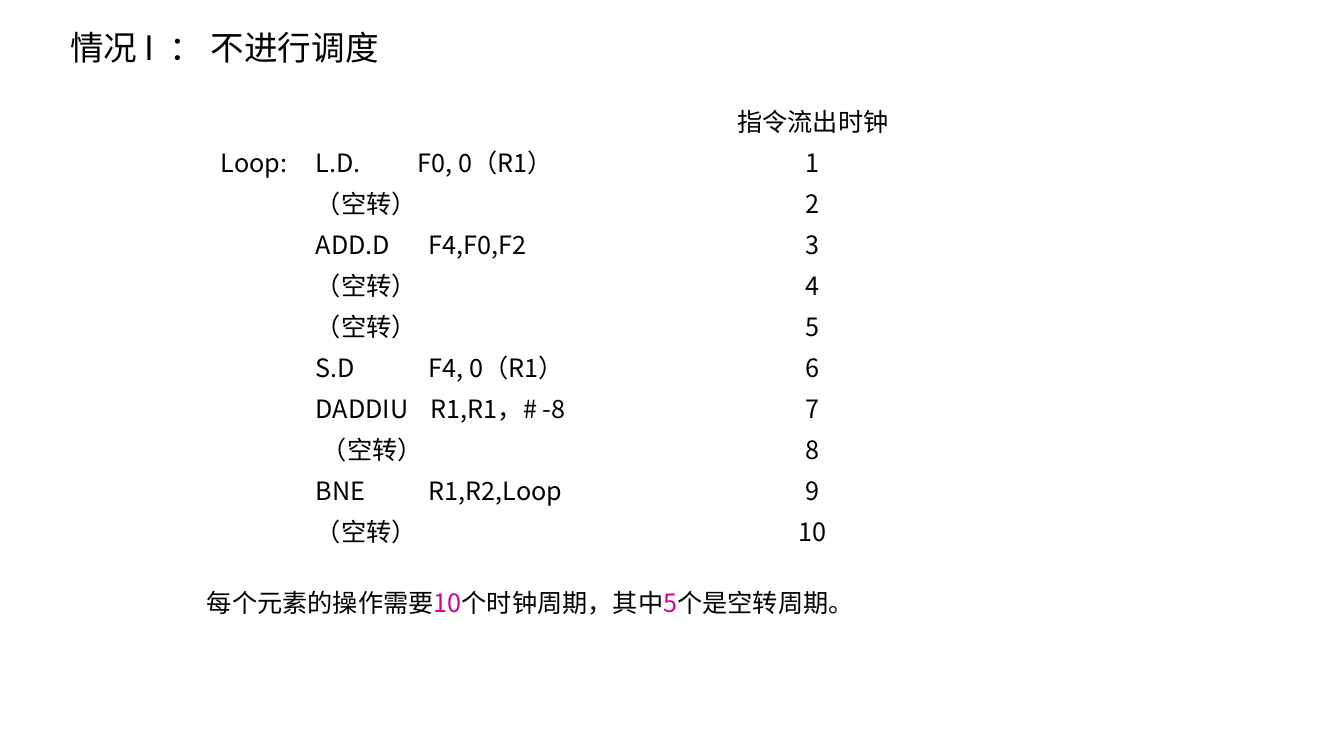
from lxml import etree
from pptx import Presentation
from pptx.dml.color import RGBColor
from pptx.enum.text import MSO_ANCHOR, MSO_AUTO_SIZE, PP_ALIGN
from pptx.oxml.ns import qn
from pptx.util import Pt

LEFT, CENTER = PP_ALIGN.LEFT, PP_ALIGN.CENTER
TOP, BOTTOM = MSO_ANCHOR.TOP, MSO_ANCHOR.BOTTOM
NO_FIT = MSO_AUTO_SIZE.NONE
TITLE_ONLY = 5
EMU_PER_INCH, PX_PER_INCH = 914400, 100.8
FONT = "Noto Sans CJK SC"
BLACK, MAGENTA = "000000", "D60093"
STALL = "（空转）"
COLUMN_WIDTHS = (95, 415, 184)
ROW_HEIGHT = 41
INSTRUCTIONS = [
    ("L.D.\tF0, 0（R1）", 102, 0),
    (STALL, 0, 0),
    ("ADD.D\tF4,F0,F2", 113, 0),
    (STALL, 0, 0),
    (STALL, 0, 0),
    ("S.D\tF4, 0（R1）", 113, 0),
    ("DADDIU\tR1,R1，# -8", 115, 0),
    (STALL, 0, 6),
    ("BNE\tR1,R2,Loop", 113, 0),
    (STALL, 0, 0),
]


def px(length):
    return round(length * EMU_PER_INCH / PX_PER_INCH)


def color(hex_string):
    return RGBColor.from_string(hex_string)


def add_text(paragraph, text, size=18, fill=BLACK, align=LEFT):
    paragraph.alignment = align
    run = paragraph.add_run()
    run.text = text
    run.font.size = Pt(size)
    run.font.color.rgb = color(fill)
    run.font.name = FONT
    etree.SubElement(run.font._element, qn("a:ea"), typeface=FONT)


def set_operand_stop(paragraph, stop):
    tabs = etree.SubElement(paragraph._p.get_or_add_pPr(), qn("a:tabLst"))
    etree.SubElement(tabs, qn("a:tab"), pos=str(px(stop)), algn="l")


def add_title(slide, text):
    title = slide.shapes.title
    title.left, title.top, title.width, title.height = px(60), px(0), px(1013), px(72)
    frame = title.text_frame
    frame.word_wrap = True
    frame.auto_size = NO_FIT
    frame.vertical_anchor = BOTTOM
    heading = frame.paragraphs[0]
    heading.line_spacing = 1.5
    add_text(heading, text, size=24)


def fill_cell(cell, text, align=LEFT, stop=0, indent=0):
    cell.fill.background()
    cell.vertical_anchor = TOP
    cell.margin_left = px(10 + indent)
    cell.margin_top, cell.margin_bottom = px(4), px(0)
    paragraph = cell.text_frame.paragraphs[0]
    if stop:
        set_operand_stop(paragraph, stop)
    add_text(paragraph, text, align=align)


def add_schedule(slide):
    row_count = len(INSTRUCTIONS) + 1
    schedule = slide.shapes.add_table(
        row_count, len(COLUMN_WIDTHS), px(211), px(98),
        px(sum(COLUMN_WIDTHS)), px(ROW_HEIGHT * row_count)).table
    schedule.first_row = schedule.horz_banding = False
    for column, width in zip(schedule.columns, COLUMN_WIDTHS):
        column.width = px(width)
    for row in schedule.rows:
        row.height = px(ROW_HEIGHT)
    fill_cell(schedule.cell(0, 0), "")
    fill_cell(schedule.cell(0, 1), "")
    fill_cell(schedule.cell(0, 2), "指令流出时钟", align=CENTER)
    for clock, (instruction, stop, indent) in enumerate(INSTRUCTIONS, 1):
        fill_cell(schedule.cell(clock, 0), "Loop:" if clock == 1 else "")
        fill_cell(schedule.cell(clock, 1), instruction, stop=stop, indent=indent)
        fill_cell(schedule.cell(clock, 2), str(clock), align=CENTER)


def add_summary(slide, parts):
    summary = slide.shapes.add_textbox(px(197), px(582), px(669), px(40))
    frame = summary.text_frame
    frame.word_wrap = False
    for text, fill in parts:
        add_text(frame.paragraphs[0], text, fill=fill)


def main():
    deck = Presentation()
    deck.slide_width, deck.slide_height = px(1344), px(756)
    slide = deck.slides.add_slide(deck.slide_layouts[TITLE_ONLY])
    add_title(slide, "情况 I  ： 不进行调度")
    add_schedule(slide)
    add_summary(slide, [
        ("每个元素的操作需要", BLACK),
        ("10", MAGENTA),
        ("个时钟周期，其中", BLACK),
        ("5", MAGENTA),
        ("个是空转周期。", BLACK),
    ])
    deck.save("out.pptx")


if __name__ == "__main__":
    main()
